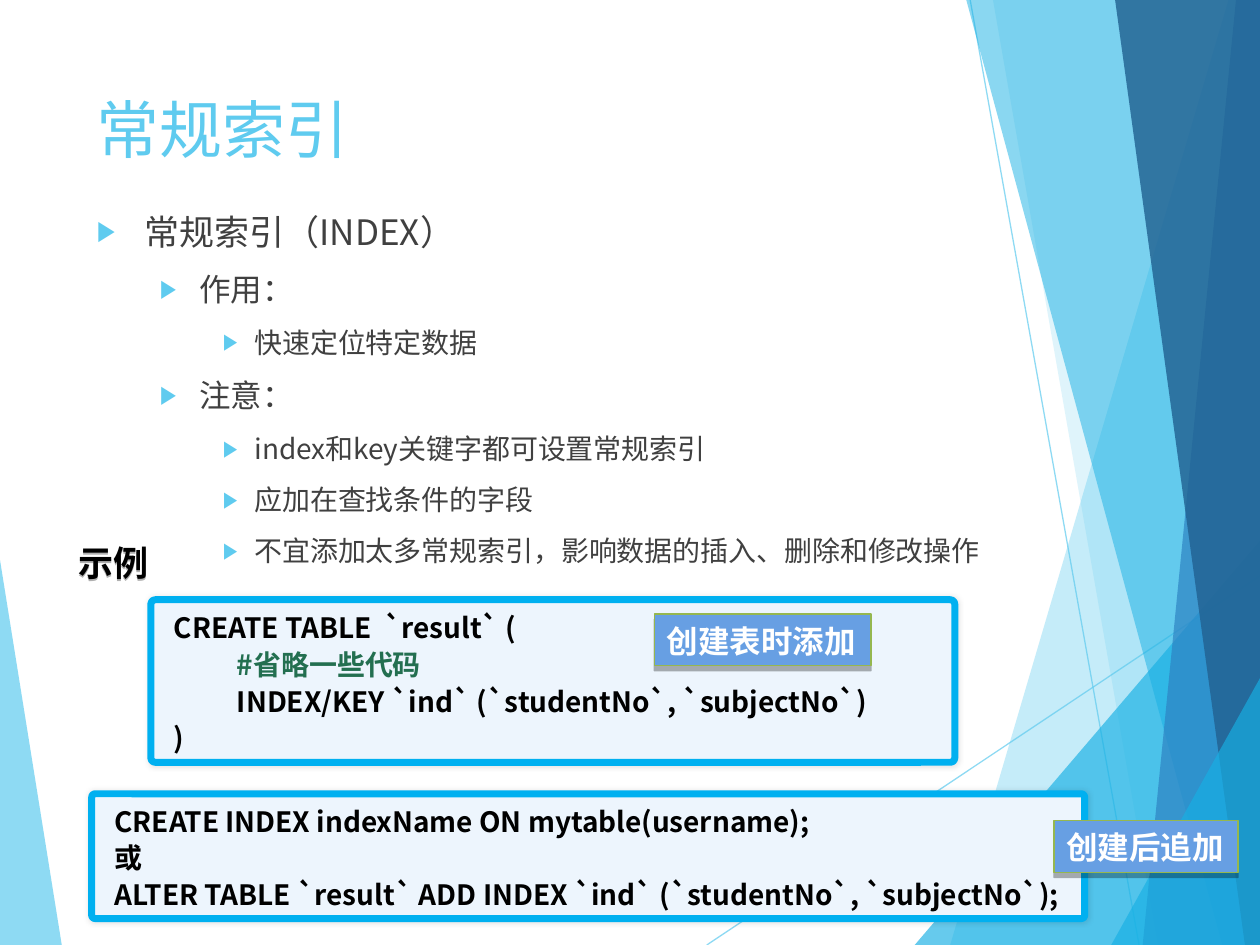
from lxml.etree import SubElement
from pptx import Presentation
from pptx.dml.color import RGBColor
from pptx.enum.shapes import MSO_CONNECTOR, MSO_SHAPE
from pptx.enum.text import MSO_ANCHOR, MSO_AUTO_SIZE, PP_ALIGN
from pptx.oxml.ns import qn
from pptx.util import Pt

FONT = "Noto Sans CJK SC"
LABEL_FONT = "Arial"
SKY = RGBColor(0x5F, 0xCB, 0xEF)
CYAN = RGBColor(0x17, 0xB0, 0xE4)
BLUE = RGBColor(0x2E, 0x83, 0xC3)
NAVY = RGBColor(0x22, 0x62, 0x92)
GRAY = RGBColor(0x40, 0x40, 0x40)
BLACK = RGBColor(0, 0, 0)
WHITE = RGBColor(0xFF, 0xFF, 0xFF)
COMMENT_GREEN = RGBColor(0x23, 0x6F, 0x50)
CODE_FILL = RGBColor(0xED, 0xF5, 0xFD)
CODE_LINE = RGBColor(0x00, 0xB0, 0xF0)
LABEL_FILL = RGBColor(0x67, 0x9F, 0xE3)
LABEL_LINE = RGBColor(0x95, 0xB7, 0x4F)

WIDTH, HEIGHT = 720, 540

# Corner points, colour and opacity of each background facet, back to front
FACETS = [
    ([(0, 320), (35.3, HEIGHT), (0, HEIGHT)], SKY, 70),
    ([(702, 0), (543, HEIGHT), (WIDTH, HEIGHT), (WIDTH, 0)], SKY, 36),
    ([(567.4, 0), (661.7, HEIGHT), (WIDTH, HEIGHT), (WIDTH, 0)], SKY, 20),
    ([(522.7, HEIGHT), (WIDTH, 309), (WIDTH, HEIGHT)], CYAN, 66),
    ([(552.2, 0), (698.4, HEIGHT), (WIDTH, HEIGHT), (WIDTH, 0)], CYAN, 50),
    ([(706.3, 0), (653, HEIGHT), (WIDTH, HEIGHT), (WIDTH, 0)], BLUE, 70),
    ([(637.2, 0), (711.4, HEIGHT), (WIDTH, HEIGHT), (WIDTH, 0)], NAVY, 82),
    ([(635, HEIGHT), (WIDTH, 387.5), (WIDTH, HEIGHT)], CYAN, 66),
]
RAYS = [((403.9, HEIGHT), (WIDTH, 329)), ((554.4, 0), (650.9, HEIGHT))]

# Left margin, hanging indent and font size of each bullet level
BULLET_LEVELS = [(27, 27, 20), (58.5, 22.5, 18), (90, 18, 16)]
BULLETS = [
    (0, "常规索引（INDEX）"),
    (1, "作用："),
    (2, "快速定位特定数据"),
    (1, "注意："),
    (2, "index和key关键字都可设置常规索引"),
    (2, "应加在查找条件的字段"),
    (2, "不宜添加太多常规索引，影响数据的插入、删除和修改操作"),
]

# Left margin of code at each level
CODE_MARGINS = {1: 5.4, 2: 41.4}
CREATE_TABLE = [
    (1, "CREATE TABLE  `result` (", BLACK),
    (2, "#省略一些代码", COMMENT_GREEN),
    (2, "INDEX/KEY `ind` (`studentNo`, `subjectNo`)", BLACK),
    (1, ")", BLACK),
]
ADD_INDEX = [
    (1, "CREATE INDEX indexName ON mytable(username);", BLACK),
    (1, "或", BLACK),
    (1, "ALTER TABLE `result` ADD INDEX `ind` (`studentNo`, `subjectNo`);", BLACK),
]


def box_of(left, top, width, height):
    """Return a position and size given in points as lengths."""
    return Pt(left), Pt(top), Pt(width), Pt(height)


def set_opacity(properties, percent):
    """Make the first solid colour below an element translucent."""
    color = next(properties.iter(qn("a:srgbClr")))
    SubElement(color, qn("a:alpha"), val=str(percent * 1000))


def add_shadow(shape, opacity, blur, distance, degrees):
    """Give a shape an outer black shadow."""
    shape.shadow.inherit = False
    effects = shape.element.spPr.find(qn("a:effectLst"))
    shadow = SubElement(effects, qn("a:outerShdw"), blurRad=str(Pt(blur)),
                        dist=str(Pt(distance)), dir=str(degrees * 60000),
                        algn="ctr", rotWithShape="0")
    color = SubElement(shadow, qn("a:srgbClr"), val=str(BLACK))
    SubElement(color, qn("a:alpha"), val=str(opacity * 1000))


def write(paragraph, text, size, color, bold=False, font=FONT):
    """Set and format the text of a paragraph."""
    paragraph.text = text
    for run in paragraph.runs:
        run.font.size = Pt(size)
        run.font.bold = bold
        run.font.color.rgb = color
        run.font.name = font
        SubElement(run.font._element, qn("a:ea"), typeface=FONT)


def set_indent(paragraph, margin, hanging=0):
    """Set the left margin and hanging indent of a paragraph."""
    properties = paragraph._p.get_or_add_pPr()
    properties.set("marL", str(Pt(margin)))
    properties.set("indent", str(-Pt(hanging)))
    return properties


def new_paragraphs(text_frame, items):
    """Yield a paragraph of the frame for each item."""
    for index, item in enumerate(items):
        yield (text_frame.add_paragraph() if index else text_frame.paragraphs[0]), item


def add_facet(slide, points, color, opacity):
    """Draw a translucent polygon."""
    corners = [(Pt(x), Pt(y)) for x, y in points]
    builder = slide.shapes.build_freeform(*corners[0])
    builder.add_line_segments(corners[1:], close=True)
    facet = builder.convert_to_shape()
    facet.fill.solid()
    facet.fill.fore_color.rgb = color
    set_opacity(facet.element.spPr, opacity)
    facet.line.fill.background()
    facet.shadow.inherit = False


def add_ray(slide, start, end):
    """Draw a thin translucent line."""
    ray = slide.shapes.add_connector(
        MSO_CONNECTOR.STRAIGHT, *(Pt(value) for value in start + end))
    ray.line.color.rgb = SKY
    ray.line.width = Pt(0.75)
    set_opacity(ray.element.spPr, 70)
    SubElement(ray.element.spPr, qn("a:effectLst"))


def place_title(slide, text):
    """Move, fill and format the title placeholder, above the background."""
    title = slide.shapes.title
    title.element.getparent().append(title.element)
    title.left, title.top, title.width, title.height = box_of(48, 48, 607, 51)
    title.text_frame.vertical_anchor = MSO_ANCHOR.MIDDLE
    paragraph = title.text_frame.paragraphs[0]
    write(paragraph, text, 36, SKY)
    paragraph.alignment = PP_ALIGN.LEFT


def add_bullets(slide, bullets):
    """Add the multi-level list."""
    text_frame = slide.shapes.add_textbox(*box_of(48.3, 116.6, 607, 347)).text_frame
    text_frame.word_wrap = True
    for paragraph, (level, text) in new_paragraphs(text_frame, bullets):
        margin, hanging, size = BULLET_LEVELS[level]
        write(paragraph, text, size, GRAY)
        paragraph.level = level
        paragraph.space_before = Pt(10)
        properties = set_indent(paragraph, margin, hanging)
        color = SubElement(properties, qn("a:buClr"))
        SubElement(color, qn("a:srgbClr"), val=str(SKY))
        SubElement(properties, qn("a:buSzPct"), val="80000")
        SubElement(properties, qn("a:buFont"), typeface=LABEL_FONT)
        SubElement(properties, qn("a:buChar"), char="▶")


def add_panel(slide, kind, box, fill, line, line_width):
    """Add a filled and outlined shape."""
    panel = slide.shapes.add_shape(kind, *box_of(*box))
    panel.fill.solid()
    panel.fill.fore_color.rgb = fill
    panel.line.color.rgb = line
    panel.line.width = Pt(line_width)
    return panel


def add_code(slide, box, lines):
    """Add a rounded panel with lines of code."""
    panel = add_panel(slide, MSO_SHAPE.ROUNDED_RECTANGLE, box, CODE_FILL, CODE_LINE, 4)
    panel.adjustments[0] = 0.027
    add_shadow(panel, 10, 3, 0, 0)
    panel.text_frame.word_wrap = True
    for paragraph, (level, text, color) in new_paragraphs(panel.text_frame, lines):
        write(paragraph, text, 16, color, bold=True)
        paragraph.level = level
        paragraph.alignment = PP_ALIGN.JUSTIFY
        paragraph.line_spacing = Pt(21)
        set_indent(paragraph, CODE_MARGINS[level])


def add_label(slide, box, text):
    """Add a blue label."""
    label = add_panel(slide, MSO_SHAPE.RECTANGLE, box, LABEL_FILL, LABEL_LINE, 0.75)
    add_shadow(label, 31, 0, 3, 90)
    label.text_frame.word_wrap = False
    label.text_frame.vertical_anchor = MSO_ANCHOR.BOTTOM
    paragraph = label.text_frame.paragraphs[0]
    write(paragraph, text, 18, WHITE, bold=True, font=LABEL_FONT)
    paragraph.alignment = PP_ALIGN.LEFT
    set_indent(paragraph, 22.5, 22.5)


def add_heading(slide, box, text):
    """Add a bold one-line heading with a shadow."""
    heading = slide.shapes.add_textbox(*box_of(*box))
    heading.text_frame.word_wrap = False
    heading.text_frame.auto_size = MSO_AUTO_SIZE.SHAPE_TO_FIT_TEXT
    write(heading.text_frame.paragraphs[0], text, 20, BLACK, bold=True)
    add_shadow(heading, 31, 0, 1, 90)


def main():
    """Build and save the slide."""
    presentation = Presentation()
    presentation.slide_width, presentation.slide_height = Pt(WIDTH), Pt(HEIGHT)
    slide = presentation.slides.add_slide(presentation.slide_layouts[5])
    add_facet(slide, *FACETS[0])
    for start, end in RAYS:
        add_ray(slide, start, end)
    for facet in FACETS[1:]:
        add_facet(slide, *facet)
    place_title(slide, "常规索引")
    add_bullets(slide, BULLETS)
    add_code(slide, (86.2, 342.7, 459.4, 92.9), CREATE_TABLE)
    add_heading(slide, (37.8, 306, 54.7, 31), "示例")
    add_code(slide, (52.4, 453.6, 567.4, 71.3), ADD_INDEX)
    add_label(slide, (373.9, 350.8, 123.8, 29.5), "创建表时添加")
    add_label(slide, (602.3, 469, 105.1, 29.5), "创建后追加")
    presentation.save("out.pptx")


main()
